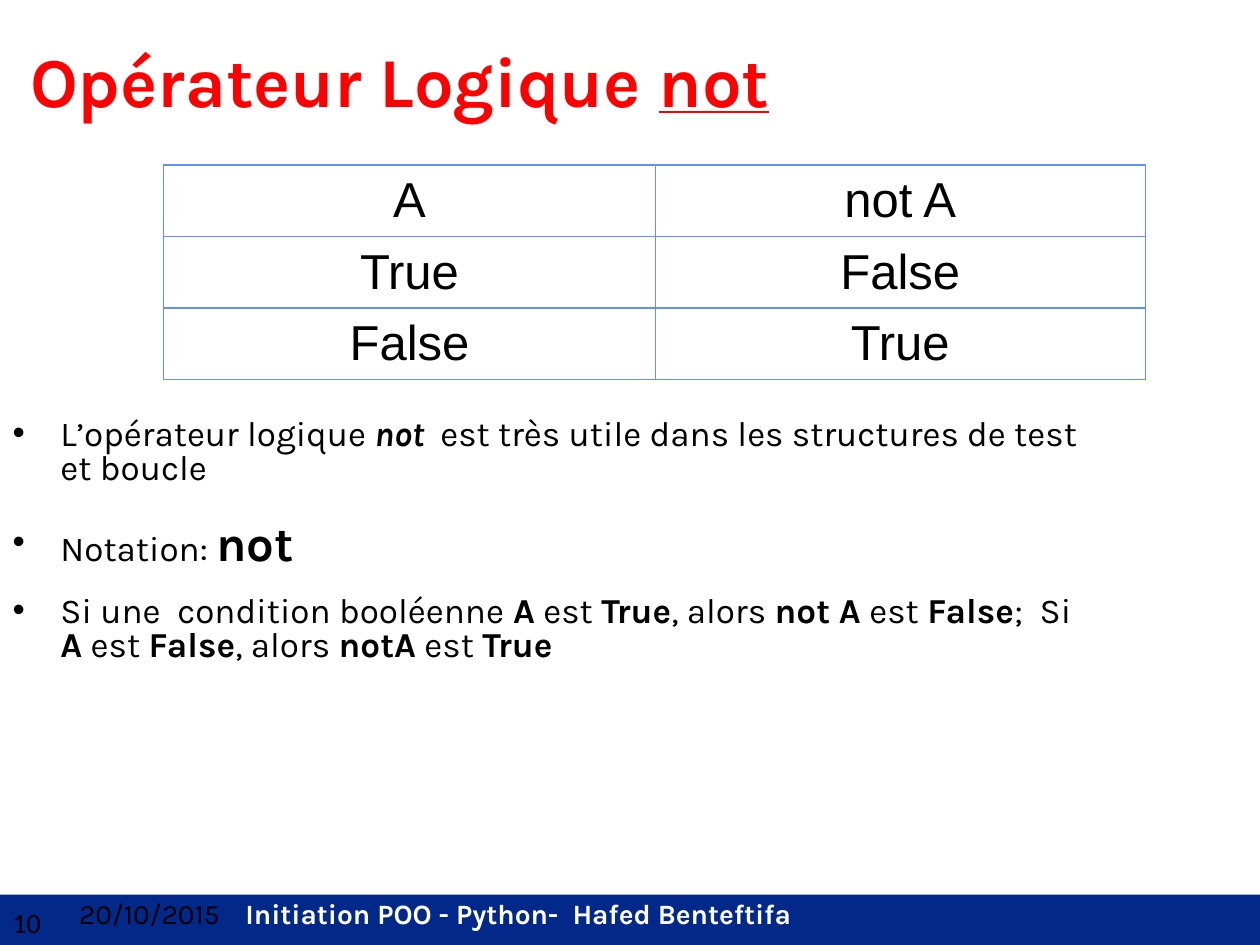
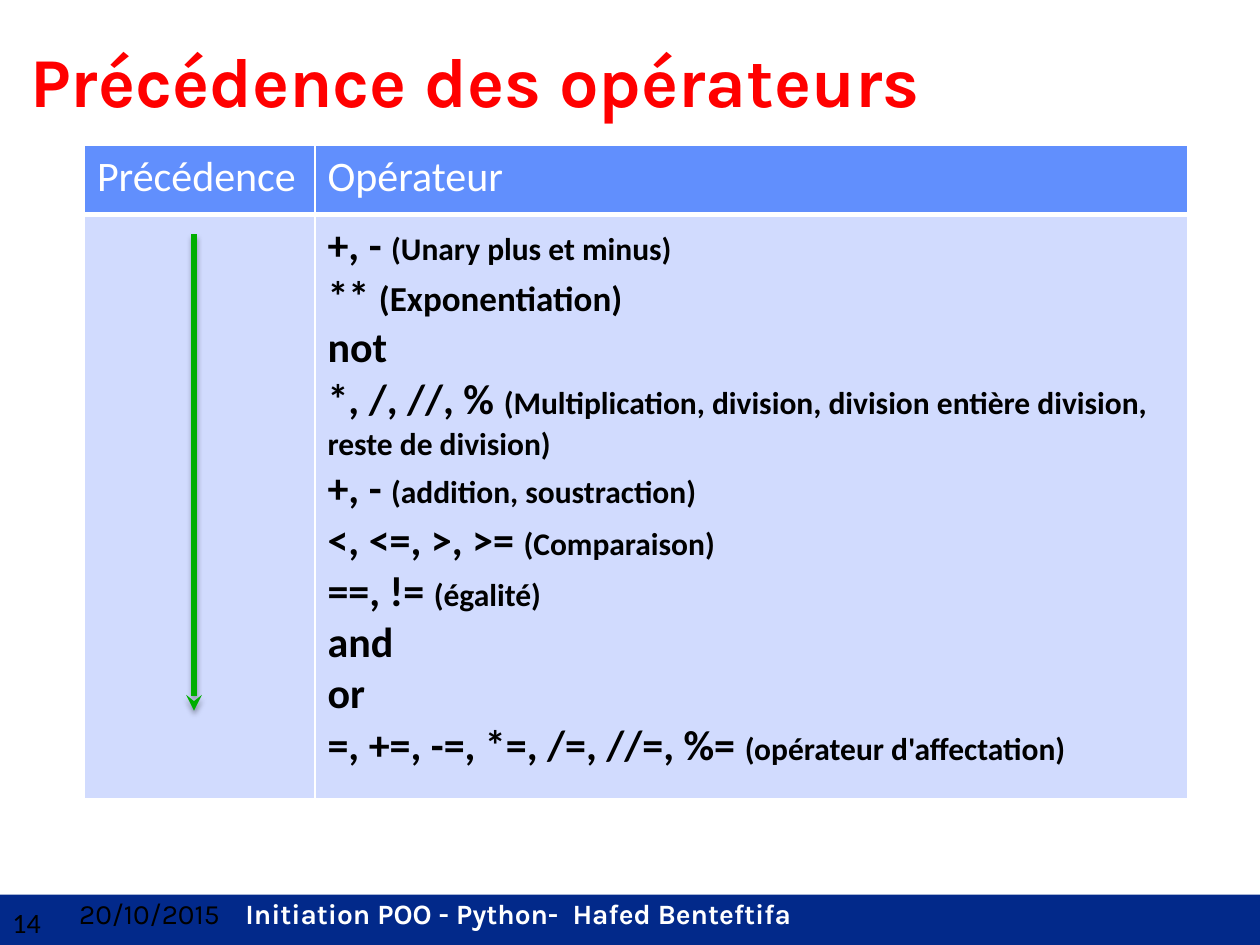
"""Build two lesson slides on Python's not operator and operator precedence."""
from lxml import etree
from pptx import Presentation
from pptx import util as u
from pptx.dml.color import RGBColor
from pptx.enum import shapes, text
from pptx.oxml import ns

RED = RGBColor(0xFF, 0x00, 0x00)
NAVY = RGBColor(0x02, 0x29, 0x8A)
BLUE = RGBColor(0x61, 0x8F, 0xFD)
PALE_BLUE = RGBColor(0xD1, 0xDB, 0xFE)
GREEN = RGBColor(0x00, 0xAE, 0x00)
BLACK = RGBColor(0x00, 0x00, 0x00)
WHITE = RGBColor(0xFF, 0xFF, 0xFF)

WIDTH, HEIGHT = 10, 7.5
BAND_HEIGHT = 0.4
FOOTER = "20/10/2015\t|Initiation POO - Python-  Hafed Benteftifa"
FOOTER_TAB = 1.32

# A bar in a text switches its emphasis on and off.
NOT_TITLE = "Opérateur Logique |not"
TRUTH_TABLE = [("A", "not A"), ("True", "False"), ("False", "True")]
NOT_POINTS = [
    ("L’opérateur logique| not  |est très utile dans les structures de test et boucle",
     {"bold": True, "italic": True}, 0),
    ("Notation: |not", {"bold": True, "size": 28}, 21),
    ("Si une  condition booléenne |A| est |True|, alors |not A| est |False|;  Si "
     "|A| est |False|, alors |notA| est |True", {"bold": True}, 15),
]

PRECEDENCE_TITLE = "Précédence des opérateurs"
PRECEDENCE_HEADER = ("Précédence", "Opérateur")
OPERATORS = [
    ("+, - |(Unary plus et minus)", 18),
    ("** |(Exponentiation)", 20),
    ("not", 18),
    ("*, /, //, % |(Multiplication, division, division entière division, "
     "reste de division)", 18),
    ("+, - |(addition, soustraction)", 18),
    ("<, <=, >, >= |(Comparaison)", 18),
    ("==, != |(égalité)", 18),
    ("and", 18),
    ("or", 18),
    ("=, +=, -=, *=, /=, //=, %= |(opérateur d'affectation)", 18),
]


def inches(*lengths):
    return [u.Inches(length) for length in lengths]


def add_xml(parent, tag, **attributes):
    names = {name: str(value) for name, value in attributes.items()}
    return etree.SubElement(parent, ns.qn(tag), names)


def write(paragraph, content, emphasis=None, **style):
    """Write text into a paragraph, with the emphasis on every second part."""
    for index, part in enumerate(content.split("|")):
        if not part:
            continue
        look = {**style, **(emphasis or {})} if index % 2 else style
        run = paragraph.add_run()
        run.text = part
        font = run.font
        font.name = look.get("name", "Karla")
        font.size = u.Pt(look["size"])
        font.color.rgb = look.get("color", BLACK)
        font.bold = look.get("bold", False)
        font.italic = look.get("italic", False)
        font.underline = look.get("underline", False)


def next_paragraph(frame, index):
    return frame.add_paragraph() if index else frame.paragraphs[0]


def place(shape, left, top, width, height):
    shape.left, shape.top, shape.width, shape.height = inches(left, top, width, height)


def add_label(slide, box, content, **style):
    frame = slide.shapes.add_textbox(*inches(*box)).text_frame
    frame.word_wrap = True
    write(frame.paragraphs[0], content, **style)
    return frame.paragraphs[0]


def start_slide(presentation, layout_index, title, number):
    slide = presentation.slides.add_slide(presentation.slide_layouts[layout_index])
    band = slide.shapes.add_shape(
        shapes.MSO_SHAPE.RECTANGLE,
        *inches(0, HEIGHT - BAND_HEIGHT, WIDTH, BAND_HEIGHT))
    band.shadow.inherit = False
    band.fill.solid()
    band.fill.fore_color.rgb = NAVY
    band.line.fill.background()
    add_label(slide, (0, 7.14, 0.58, 0.36), number, name="Calibri", size=16)
    footer = add_label(slide, (0.53, 7.07, 9.47, 0.43), FOOTER, size=16,
                       emphasis={"color": WHITE, "bold": True})
    tabs = add_xml(footer._p.get_or_add_pPr(), "a:tabLst")
    add_xml(tabs, "a:tab", pos=u.Inches(FOOTER_TAB), algn="l")

    place(slide.shapes.title, 0.14, 0.17, 9.68, 0.93)
    frame = slide.shapes.title.text_frame
    frame.auto_size = text.MSO_AUTO_SIZE.NONE
    frame.vertical_anchor = text.MSO_ANCHOR.MIDDLE
    frame.paragraphs[0].alignment = text.PP_ALIGN.LEFT
    write(frame.paragraphs[0], title, size=40, color=RED, bold=True,
          emphasis={"underline": True})
    return slide


def add_grid(slide, left, top, columns, rows):
    table = slide.shapes.add_table(
        len(rows), len(columns), *inches(left, top, sum(columns), sum(rows))).table
    table.first_row = table.horz_banding = False
    for column, width in zip(table.columns, columns):
        column.width = u.Inches(width)
    for row, height in zip(table.rows, rows):
        row.height = u.Inches(height)
    return table


def format_cell(cell, border, width, fill=None, bottom=None):
    properties = cell._tc.get_or_add_tcPr()
    for side in "LRTB":
        weight = bottom if side == "B" and bottom else width
        line = add_xml(properties, f"a:ln{side}", w=u.Pt(weight))
        add_xml(add_xml(line, "a:solidFill"), "a:srgbClr", val=border)
    if fill is None:
        cell.fill.background()
    else:
        cell.fill.solid()
        cell.fill.fore_color.rgb = fill


def add_not_slide(presentation):
    slide = start_slide(presentation, 1, NOT_TITLE, "10")
    table = add_grid(slide, 1.3, 1.31, [3.9, 3.89], [0.54] * len(TRUTH_TABLE))
    for row, values in enumerate(TRUTH_TABLE):
        for column, value in enumerate(values):
            cell = table.cell(row, column)
            format_cell(cell, BLUE, 0.75)
            cell.margin_left = cell.margin_right = u.Inches(0.31)
            cell.vertical_anchor = text.MSO_ANCHOR.MIDDLE
            paragraph = cell.text_frame.paragraphs[0]
            paragraph.alignment = text.PP_ALIGN.CENTER
            write(paragraph, value, name="Arial", size=28)

    body = slide.placeholders[1]
    place(body, 0, 3.28, 8.83, 2.77)
    body.text_frame.auto_size = text.MSO_AUTO_SIZE.NONE
    for index, (content, emphasis, space) in enumerate(NOT_POINTS):
        paragraph = next_paragraph(body.text_frame, index)
        paragraph.line_spacing = 0.8
        paragraph.space_before = u.Pt(space)
        properties = paragraph._p.get_or_add_pPr()
        properties.set("marL", str(u.Inches(0.38)))
        properties.set("indent", str(u.Inches(-0.38)))
        add_xml(properties, "a:buFont", typeface="Arial")
        add_xml(properties, "a:buChar", char="•")
        write(paragraph, content, emphasis, size=20)


def add_precedence_arrow(slide):
    arrow = slide.shapes.add_connector(
        shapes.MSO_CONNECTOR.STRAIGHT, *inches(1.54, 1.86, 1.54, 5.64))
    arrow.line.color.rgb = GREEN
    arrow.line.width = u.Pt(3)
    add_xml(arrow.line._get_or_add_ln(), "a:tailEnd", type="stealth")
    effects = add_xml(arrow._element.spPr, "a:effectLst")
    shadow = add_xml(effects, "a:outerShdw", blurRad=u.Pt(3.1), dist=u.Pt(1.8),
                     dir=90 * 60000, rotWithShape=0)
    add_xml(add_xml(shadow, "a:srgbClr", val=BLACK), "a:alpha", val=34000)


def add_precedence_slide(presentation):
    slide = start_slide(presentation, 5, PRECEDENCE_TITLE, "14")
    table = add_grid(slide, 0.67, 1.15, [1.83, 6.93], [0.55, 4.64])
    for column, heading in enumerate(PRECEDENCE_HEADER):
        header = table.cell(0, column)
        format_cell(header, WHITE, 1, BLUE, bottom=3)
        write(header.text_frame.paragraphs[0], heading,
              name="Calibri", size=24, color=WHITE)
        format_cell(table.cell(1, column), WHITE, 1, PALE_BLUE)
    frame = table.cell(1, 1).text_frame
    for index, (content, note_size) in enumerate(OPERATORS):
        write(next_paragraph(frame, index), content, {"size": note_size},
              name="Calibri", size=24, bold=True)
    add_precedence_arrow(slide)


def main():
    presentation = Presentation()
    presentation.slide_width, presentation.slide_height = inches(WIDTH, HEIGHT)
    add_not_slide(presentation)
    add_precedence_slide(presentation)
    presentation.save("out.pptx")


if __name__ == "__main__":
    main()
